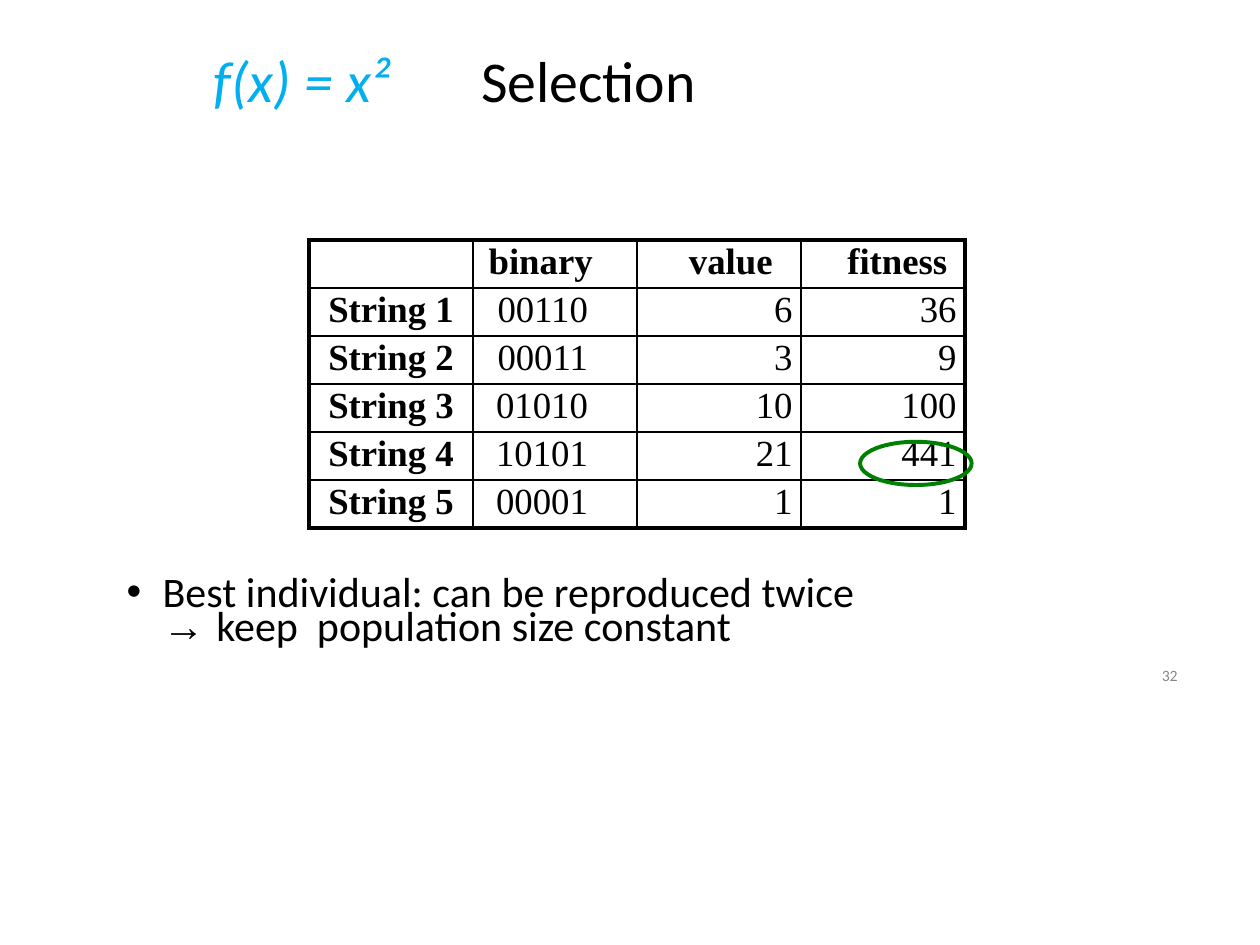
from pptx import Presentation
from pptx import util as u
from pptx.dml.color import RGBColor
from pptx.enum import shapes, text
from pptx.oxml import parse_xml
from pptx.oxml.ns import nsdecls

BLACK = RGBColor(0, 0, 0)
BLUE = RGBColor(0, 0xAF, 0xEF)
GREEN = RGBColor(0, 0x80, 0)
GREY = RGBColor(0x88, 0x88, 0x88)
SANS, SERIF = "Calibri", "Times New Roman"
LEFT, MID, RIGHT = text.PP_ALIGN.LEFT, text.PP_ALIGN.CENTER, text.PP_ALIGN.RIGHT

deck = Presentation()
deck.slide_width, deck.slide_height = u.Inches(13.33), u.Inches(10)
slide = deck.slides.add_slide(deck.slide_layouts[1])


def area(left, top, wide, high):
    return tuple(int(side * share / 100) for side, share in zip(
        (deck.slide_width, deck.slide_height) * 2, (left, top, wide, high)))


def part(box, left, top, wide, high):
    x, y, w, h = box
    return int(x + w * left), int(y + h * top), int(w * wide), int(h * high)


def place(shape, box):
    shape.left, shape.top, shape.width, shape.height = box
    return shape


def label(box):
    return slide.shapes.add_textbox(*box)


def frame(shape, top=0):
    body = shape.text_frame
    body.word_wrap = True
    body.auto_size = text.MSO_AUTO_SIZE.NONE
    body.vertical_anchor = text.MSO_ANCHOR.TOP
    body.margin_left = body.margin_right = body.margin_bottom = 0
    body.margin_top = u.Inches(top)
    return body.paragraphs[0]


def indent(para, left, first=0, right=0):
    props = para._p.get_or_add_pPr()
    for name, size in (("marL", left), ("indent", first), ("marR", right)):
        props.set(name, str(int(u.Inches(size))))


def add_run(para, words, size, color=BLACK, face=SANS, bold=False, italic=False):
    run = para.add_run()
    run.text = words
    font = run.font
    font.size, font.name, font.bold, font.italic = u.Pt(size), face, bold, italic
    font.color.rgb = color


def heading(box):
    title = place(slide.shapes.title, part(box, 0, 0, 0.37, 1))
    name = label(part(box, 0.55, 0, 0.45, 1))
    for shape, words, color, italic in (
            (title, ("f(x) ", "= x²"), BLUE, True),
            (name, ("Selection",), BLACK, False)):
        para = frame(shape, 0.01)
        para.alignment = LEFT
        para.space_before = u.Pt(1.1)
        indent(para, 0.01)
        for word in words:
            add_run(para, word, 44, color, italic=italic)


def border(cell, side, width):
    cell._tc.get_or_add_tcPr().append(parse_xml(
        f'<a:ln{side} {nsdecls("a")} w="{u.Pt(width)}"><a:solidFill>'
        f'<a:srgbClr val="{BLACK}"/></a:solidFill></a:ln{side}>'))


def fill(cell, words, row, col, rows, cols):
    cell.margin_left = cell.margin_bottom = 0
    cell.margin_top = u.Inches(0.02)
    cell.margin_right = u.Inches((0, 0.52 if row else 0.47, 0.09, 0.09)[col])
    para = cell.text_frame.paragraphs[0]
    para.space_before = u.Pt(3)
    para.alignment = MID if col == 0 else RIGHT
    if row == 0 and col > 1:
        para.alignment = LEFT
        indent(para, (0.55, 0.49)[col - 2])
    if words:
        add_run(para, words, 28, face=SERIF, bold=row == 0 or col == 0)
    for side, edge in (("L", col == 0), ("R", col == cols - 1),
                       ("T", row == 0), ("B", row == rows - 1)):
        border(cell, side, 3 if edge else 1.5)
    cell.fill.background()


def scores(box):
    data = [("", "binary", "value", "fitness")]
    pairs = (("00110", 6), ("00011", 3), ("01010", 10), ("10101", 21), ("00001", 1))
    for count, (code, value) in enumerate(pairs, 1):
        data.append((f"String {count}", code, str(value), str(value ** 2)))
    rows, cols = len(data), len(data[0])
    grid = slide.shapes.add_table(rows, cols, *box).table
    grid.first_row = grid.horz_banding = False
    for line in grid.rows:
        line.height = box[3] // rows
    for row, items in enumerate(data):
        for col, words in enumerate(items):
            fill(grid.cell(row, col), words, row, col, rows, cols)
    ring = slide.shapes.add_shape(shapes.MSO_SHAPE.OVAL,
                                  *part(box, 0.84, 0.7, 0.17, 0.15))
    ring.shadow.inherit = False
    ring.fill.background()
    ring.line.color.rgb = GREEN
    ring.line.width = u.Pt(3)


def remark(box):
    para = frame(place(slide.placeholders[1], box), 0.06)
    para.line_spacing = u.Pt(26)
    para.space_before = u.Pt(4.2)
    indent(para, 0.39, -0.38, 0.3)
    for words, face in (("Best individual: can be reproduced twice ", SANS),
                        ("→ ", "Arial"),
                        ("keep  population size constant", SANS)):
        add_run(para, words, 32, face=face)


def number(box):
    para = frame(label(box))
    para.line_spacing = u.Pt(12.4)
    indent(para, 0.04)
    add_run(para, "32", 12, GREY)


heading(area(16.88, 4.6, 38.63, 7.6))
scores(area(24.53, 25.4, 52.06, 30.5))
remark(area(9.98, 61, 61.37, 8.1))
number(area(91.9, 70.7, 2.55, 1.7))
deck.save("out.pptx")
